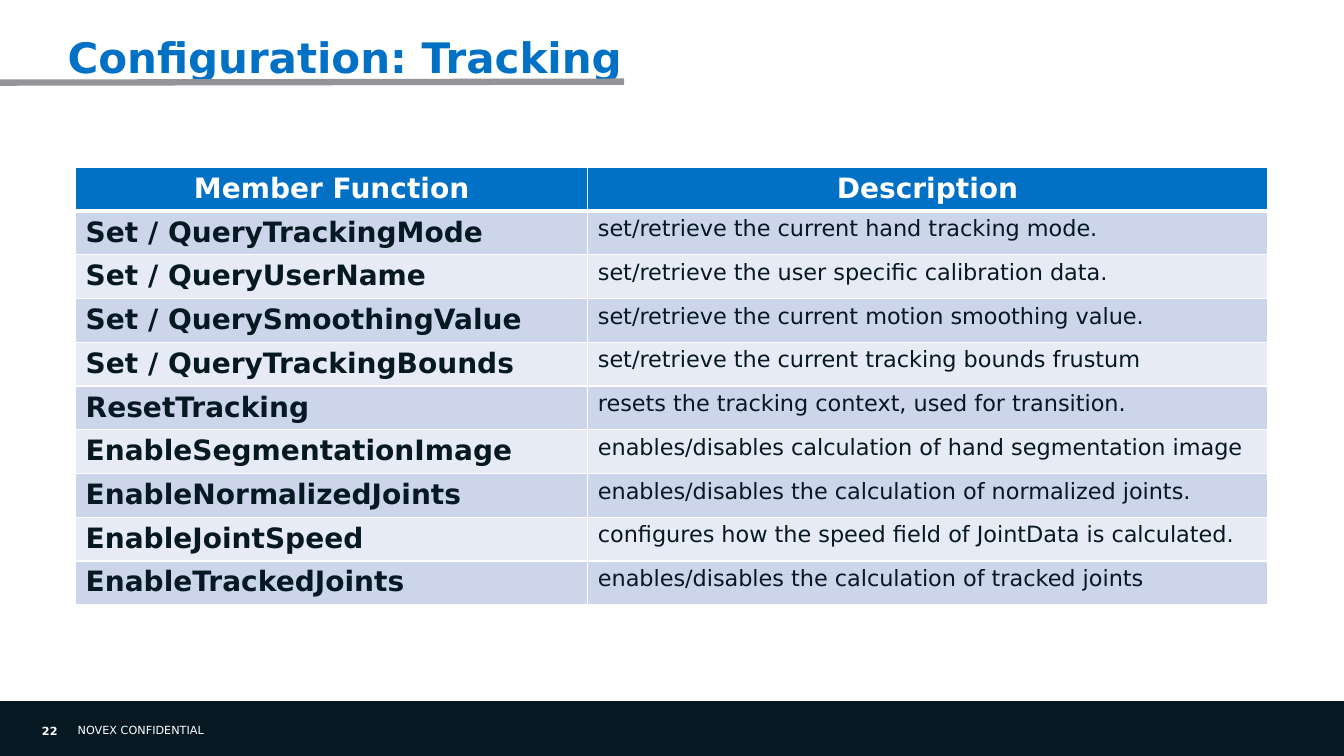
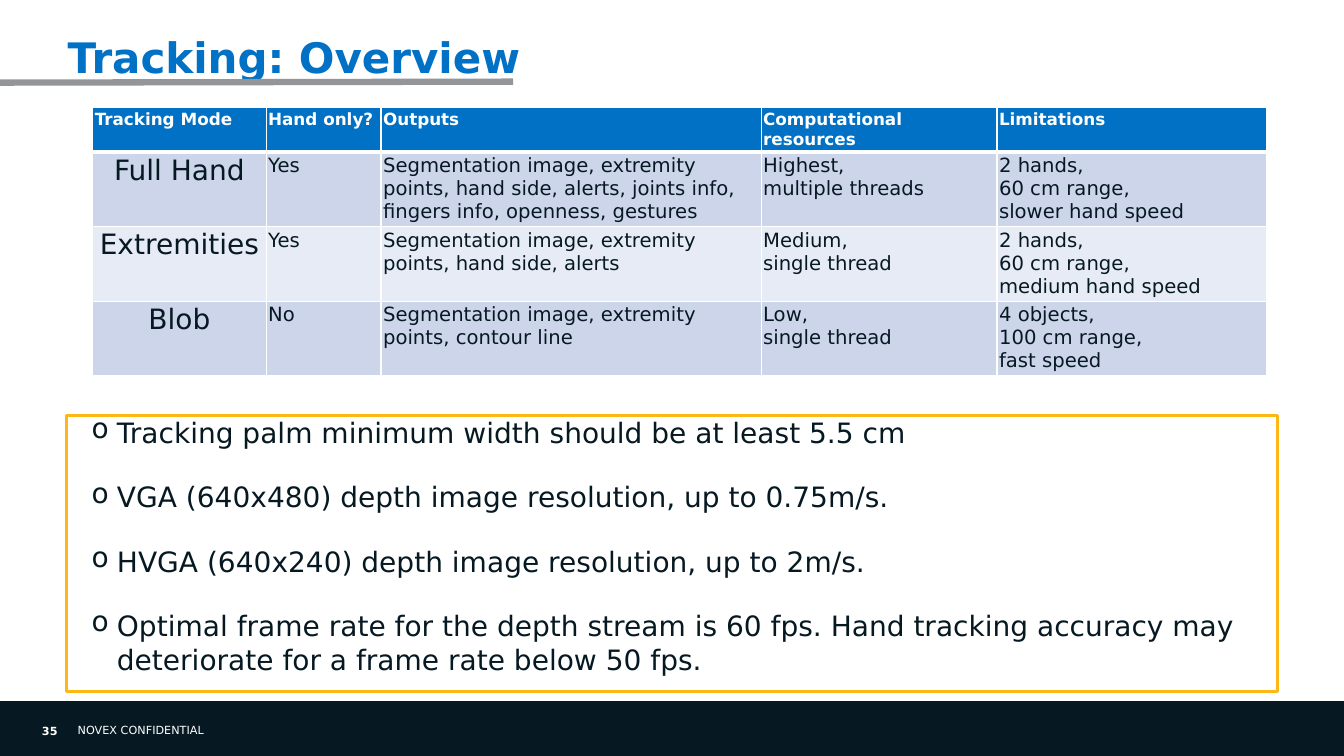
import pptx
import pptx.util
import pptx.dml.color
import pptx.enum.shapes
import pptx.enum.text
import pptx.oxml
import pptx.oxml.ns
from lxml import etree

Inches = pptx.util.Inches
Pt = pptx.util.Pt
ALIGN = pptx.enum.text.PP_ALIGN
ANCHOR = pptx.enum.text.MSO_ANCHOR
RECT = pptx.enum.shapes.MSO_SHAPE.RECTANGLE
qn = pptx.oxml.ns.qn

FONT = "DejaVu Sans"
BLUE, DARK, GRAY = "0071C5", "061922", "939598"
WHITE, GOLD = "FFFFFF", "FDB813"
BANDS = ["CCD5EA", "E7EBF5"]

TRACKING = [
    ["Member Function", "Description"],
    ["Set / QueryTrackingMode", "set/retrieve the current hand tracking mode."],
    ["Set / QueryUserName", "set/retrieve the user specific calibration data."],
    ["Set / QuerySmoothingValue", "set/retrieve the current motion smoothing value."],
    ["Set / QueryTrackingBounds", "set/retrieve the current tracking bounds frustum"],
    ["ResetTracking", "resets the tracking context, used for transition."],
    ["EnableSegmentationImage", "enables/disables calculation of hand segmentation image"],
    ["EnableNormalizedJoints", "enables/disables the calculation of normalized joints."],
    ["EnableJointSpeed", "configures how the speed field of JointData is calculated."],
    ["EnableTrackedJoints", "enables/disables the calculation of tracked joints"],
]
MODES = [
    ["Tracking Mode", "Hand only?", "Outputs", "Computational resources", "Limitations"],
    ["Full Hand", "Yes",
     "Segmentation image, extremity points, hand side, alerts, joints info, "
     "fingers info, openness, gestures",
     "Highest,\nmultiple threads", "2 hands,\n60 cm range,\nslower hand speed"],
    ["Extremities", "Yes", "Segmentation image, extremity points, hand side, alerts",
     "Medium,\nsingle thread", "2 hands,\n60 cm range,\nmedium hand speed"],
    ["Blob", "No", "Segmentation image, extremity points, contour line",
     "Low,\nsingle thread", "4 objects,\n100 cm range,\nfast speed"],
]
NOTES = [
    "Tracking palm minimum width should be at least 5.5 cm",
    "VGA (640x480) depth image resolution, up to 0.75m/s.",
    "HVGA (640x240) depth image resolution, up to 2m/s.",
    "Optimal frame rate for the depth stream is 60 fps. Hand tracking accuracy "
    "may deteriorate for a frame rate below 50 fps.",
]


def color(code):
    return pptx.dml.color.RGBColor.from_string(code)


def style(para, size, code, bold=False, align=ALIGN.LEFT):
    para.alignment = align
    font = para.font
    font.name, font.size, font.bold = FONT, Pt(size), bold
    font.color.rgb = color(code)


def inset(frame, gap):
    frame.margin_left = frame.margin_right = Inches(gap)
    frame.margin_top = frame.margin_bottom = Inches(gap)


def panel(slide, box, fill, line, width):
    shape = slide.shapes.add_shape(RECT, *map(Inches, box))
    shape.shadow.inherit = False
    shape.fill.solid()
    shape.fill.fore_color.rgb = color(fill)
    shape.line.color.rgb = color(line)
    shape.line.width = Pt(width)
    return shape


def label(slide, box, text, size, code, bold=False, align=ALIGN.LEFT, gap=0):
    frame = slide.shapes.add_textbox(*map(Inches, box)).text_frame
    frame.word_wrap = True
    inset(frame, gap)
    para = frame.paragraphs[0]
    para.text = text
    style(para, size, code, bold, align)
    return frame


# Slide parts shared by all: footer band, title and its rule
def base(deck, title, page, end):
    slide = deck.slides.add_slide(deck.slide_layouts[6])
    panel(slide, (0, 6.96, 13.33, 0.54), DARK, DARK, 0.25)
    label(slide, (0.77, 7.18, 4.22, 0.13), "NOVEX CONFIDENTIAL", 8, WHITE)
    number = label(slide, (0, 7.13, 0.67, 0.24), str(page), 8, WHITE, True,
                   ALIGN.RIGHT, 0.1)
    number.margin_top = number.margin_bottom = Inches(0.05)
    number.vertical_anchor = ANCHOR.MIDDLE

    head = label(slide, (0.67, 0.45, 12, 0.97), title, 30, BLUE, True)
    head.paragraphs[0].line_spacing = Pt(26)
    rule = slide.shapes.add_connector(
        pptx.enum.shapes.MSO_CONNECTOR.STRAIGHT,
        Inches(-0.01), Inches(0.82), Inches(end), Inches(0.81))
    rule.line.color.rgb = color(GRAY)
    rule.line.width = Pt(4.5)
    etree.SubElement(rule._element.spPr, qn("a:effectLst"))
    return slide


def border(cell, top, bottom):
    props = cell._tc.get_or_add_tcPr()
    sides = [("L", 1), ("R", 1), ("T", top), ("B", bottom)]
    for spot, (side, width) in enumerate(sides):
        line = etree.Element(qn("a:ln" + side), w=str(Pt(width)))
        fill = etree.SubElement(line, qn("a:solidFill"))
        etree.SubElement(fill, qn("a:srgbClr"), val=WHITE)
        props.insert(spot, line)


# Banded table: head, first and rest are (size, bold, align)
def grid(slide, spot, rows, widths, heights, head, first, rest, gap=None):
    box = (*spot, sum(widths), sum(heights))
    table = slide.shapes.add_table(len(rows), len(widths), *map(Inches, box)).table
    for col, width in zip(table.columns, widths):
        col.width = Inches(width)
    for r, texts in enumerate(rows):
        table.rows[r].height = Inches(heights[r])
        for c, text in enumerate(texts):
            cell = table.cell(r, c)
            if gap is not None:
                inset(cell, gap)
            cell.fill.solid()
            cell.fill.fore_color.rgb = color(BANDS[(r - 1) % 2] if r else BLUE)
            border(cell, 3 if r == 1 else 1, 1 if r else 3)
            size, bold, align = (first if c == 0 else rest) if r else head
            para = cell.text_frame.paragraphs[0]
            para.text = text
            style(para, size, DARK if r else WHITE, bold, align)


# Framed bullet list
def bullets(slide, box, items):
    frame = panel(slide, box, WHITE, GOLD, 2).text_frame
    frame.word_wrap = True
    frame.vertical_anchor = ANCHOR.TOP
    inset(frame, 0)
    for i, item in enumerate(items):
        para = frame.add_paragraph() if i else frame.paragraphs[0]
        para.text = item
        props = para._p.get_or_add_pPr()
        props.set("marL", str(Inches(0.5)))
        props.set("indent", str(Inches(-0.25)))
        etree.SubElement(props, qn("a:buChar"), char="o")
        if i:
            para.space_before = Pt(22)
        style(para, 20, DARK)


def config(deck):
    slide = base(deck, "Configuration: Tracking", 22, 6.19)
    grid(slide, (0.75, 1.66), TRACKING, [5.08, 6.74], [0.42] * 10,
         (20, True, ALIGN.CENTER), (20, True, ALIGN.LEFT), (16, False, ALIGN.LEFT))


def overview(deck):
    slide = base(deck, "Tracking: Overview", 35, 5.09)
    bullets(slide, (0.66, 4.12, 12.01, 2.74), NOTES)
    grid(slide, (0.92, 1.07), MODES, [1.72, 1.14, 3.77, 2.34, 2.67],
         [0.43] + [0.73] * 3, (12, True, ALIGN.LEFT), (20, False, ALIGN.CENTER),
         (14, False, ALIGN.LEFT), 0.02)


def main():
    deck = pptx.Presentation()
    deck.slide_width, deck.slide_height = Inches(13.33), Inches(7.5)
    config(deck)
    overview(deck)
    deck.save("out.pptx")


if __name__ == "__main__":
    main()
